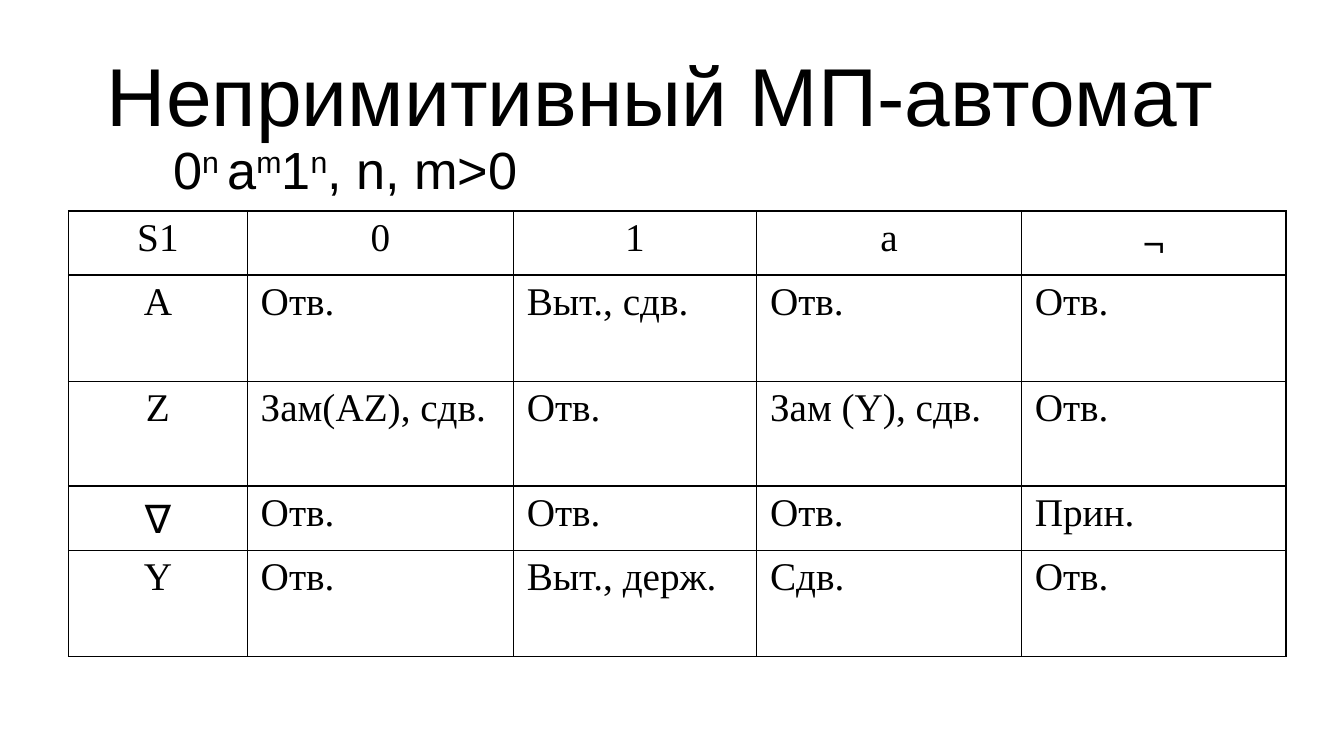
from lxml import etree
from pptx import Presentation
from pptx.dml.color import RGBColor
from pptx.enum.text import MSO_ANCHOR, MSO_AUTO_SIZE, PP_ALIGN
from pptx.oxml.ns import qn
from pptx.util import Inches, Pt

BLACK = RGBColor(0x00, 0x00, 0x00)
MIDDLE = MSO_ANCHOR.MIDDLE
FIXED = MSO_AUTO_SIZE.NONE
CENTER = PP_ALIGN.CENTER
LEFT = PP_ALIGN.LEFT
JUSTIFY = PP_ALIGN.JUSTIFY


def add_span(para, text, size, font="Arial"):
    span = para.add_run()
    span.text = text
    span.font.size = Pt(size)
    span.font.name = font
    span.font.color.rgb = BLACK
    return span


def add_borders(cell):
    properties = cell._tc.get_or_add_tcPr()
    for position, side in enumerate(("lnL", "lnR", "lnT", "lnB")):
        line = etree.Element(qn(f"a:{side}"), w=str(Pt(0.75)))
        fill = etree.SubElement(line, qn("a:solidFill"))
        etree.SubElement(fill, qn("a:srgbClr"), val=str(BLACK))
        properties.insert(position, line)


deck = Presentation()
deck.slide_width = Inches(10)
deck.slide_height = Inches(10) * 9 // 16
page = deck.slides.add_slide(deck.slide_layouts[6])

title_box = page.shapes.add_textbox(Inches(0.5), Inches(0.23), Inches(9), Inches(0.94))
language_box = page.shapes.add_textbox(Inches(1.19), Inches(1.02), Inches(2.83), Inches(0.47))
for box in (title_box, language_box):
    box.text_frame.word_wrap = True
    box.text_frame.auto_size = FIXED
    box.text_frame.vertical_anchor = MIDDLE

title = title_box.text_frame.paragraphs[0]
title.alignment = CENTER
add_span(title, "Непримитивный МП-автомат ", 44)

formula = language_box.text_frame.paragraphs[0]
for base, exponent in (("0", "n "), ("a", "m"), ("1", "n"), (", n, m>0", "")):
    add_span(formula, base, 28)
    if exponent:
        span = add_span(formula, exponent, 28)
        span._r.get_or_add_rPr().set("baseline", "30000")
add_span(formula, " ", 18)

transitions = [
    ["S1", "0", "1", "a", "¬"],
    ["А", "Отв.", "Выт., сдв.", "Отв.", "Отв."],
    ["Z", "Зам(AZ), сдв.", "Отв.", "Зам (Y), сдв.", "Отв."],
    ["∇", "Отв.", "Отв.", "Отв.", "Прин."],
    ["Y", "Отв.", "Выт., держ.", "Сдв.", "Отв."],
]
column_widths = [1.33, 1.98, 1.81, 1.97, 1.97]
row_heights = [0.47, 0.79, 0.78, 0.47, 0.79]

table = page.shapes.add_table(
    len(row_heights), len(column_widths), Inches(0.51), Inches(1.57),
    Inches(sum(column_widths)), Inches(sum(row_heights)),
).table
table.first_row = False
table.horz_banding = False
for column, width in zip(table.columns, column_widths):
    column.width = Inches(width)
for row, height in zip(table.rows, row_heights):
    row.height = Inches(height)

for row_index, actions in enumerate(transitions):
    for column_index, action in enumerate(actions):
        cell = table.cell(row_index, column_index)
        cell.margin_left = cell.margin_right = Inches(0.1)
        cell.margin_top = cell.margin_bottom = Inches(0.04)
        cell.fill.background()
        add_borders(cell)
        para = cell.text_frame.paragraphs[0]
        if row_index == 0 or column_index == 0:
            para.alignment = CENTER
        elif column_index == 3 and row_index < 4:
            para.alignment = LEFT
        else:
            para.alignment = JUSTIFY
        font = "Open Sans" if action in ("¬", "∇") else "Times New Roman"
        add_span(para, action, 21, font)

deck.save("out.pptx")
